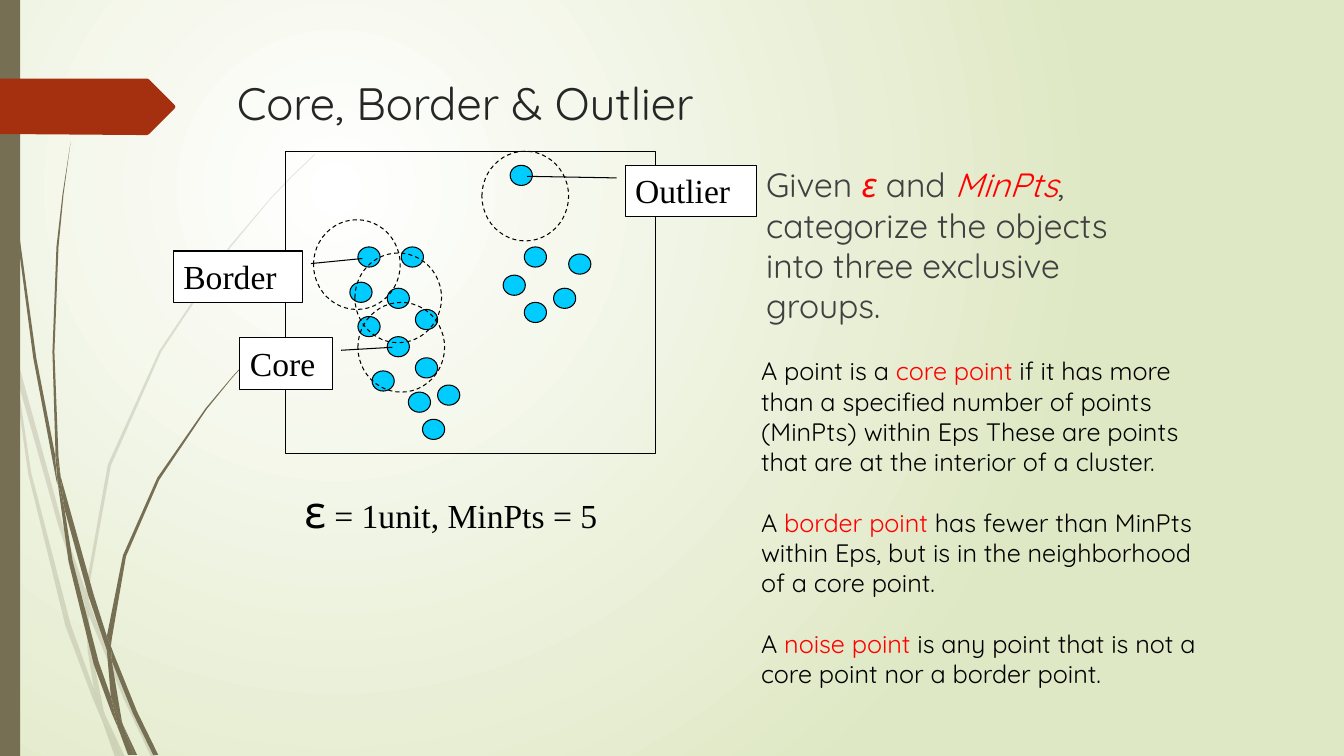
import pptx
import pptx.util
import pptx.dml.color
import pptx.enum.dml
import pptx.enum.shapes
import pptx.enum.text
import pptx.oxml
import pptx.oxml.ns

PX = 9144
COLOURS = {
    "white": "FFFFFF", "sage": "DFE8C4", "stem": "766F54", "banner": "A53010",
    "title": "262626", "body": "404040", "black": "000000", "red": "FF0000", "point": "00CCFF",
}
SHAPE = pptx.enum.shapes.MSO_SHAPE
SANS, SERIF = "Quicksand", "Times New Roman"

PALE_STEMS = [
    [(11, 350), (9, 322), (0, 282), (0, 299), (10, 344)],
    [(58, 522), (84, 599), (85, 586), (62, 520), (14, 345), (17, 376)],
    [(92, 607), (88, 596), (88, 610), (123, 694), (150, 751), (155, 751), (127, 692)],
    [(119, 751), (124, 751), (105, 711)],
    [(93, 683), (70, 619), (31, 469), (17, 376), (11, 350), (28, 470), (65, 621), (92, 693),
     (101, 714), (99, 707)],
    [(84, 599), (87, 646), (93, 683), (96, 692), (105, 711), (103, 706), (91, 646), (88, 610),
     (88, 608)],
    [(88, 584), (110, 462), (160, 349), (229, 245), (268, 198), (290, 175), (312, 154), (312, 153),
     (289, 175), (268, 197), (228, 244), (158, 348), (107, 461), (85, 584), (85, 586), (88, 596)],
    [(101, 714), (114, 751), (119, 751)],
    [(88, 608), (88, 610), (88, 596), (85, 586), (84, 599)],
    [(96, 692), (93, 683), (99, 707), (101, 714), (119, 751), (105, 711)],
]
DARK_STEMS = [
    [(7, 110), (17, 233), (33, 355), (56, 477), (57, 481), (55, 457), (55, 453), (36, 355),
     (19, 232), (8, 109), (5, 48), (4, 0), (3, 0), (4, 48)],
    [(88, 592), (106, 645), (106, 633), (106, 631), (93, 590), (60, 472), (64, 505)],
    [(113, 649), (110, 641), (111, 656), (132, 708), (152, 749), (157, 749), (136, 706)],
    [(110, 691), (98, 657), (72, 556), (64, 505), (57, 477), (68, 557), (93, 659), (111, 708),
     (117, 722), (116, 717)],
    [(60, 472), (58, 453), (54, 349), (58, 245), (63, 193), (70, 141), (62, 193), (56, 245),
     (52, 349), (55, 449)],
    [(133, 749), (136, 749), (122, 719)],
    [(57, 477), (64, 505), (60, 472), (55, 449), (55, 453)],
    [(111, 633), (125, 552), (158, 476), (205, 406), (231, 374), (245, 359), (261, 344), (260, 344),
     (245, 358), (231, 373), (204, 405), (156, 474), (122, 551), (106, 631), (110, 641)],
    [(117, 722), (127, 749), (131, 749)],
    [(106, 645), (110, 691), (116, 706), (122, 719), (121, 716), (111, 656), (109, 651)],
    [(106, 645), (109, 651), (111, 656), (110, 641), (106, 631), (106, 633)],
    [(116, 706), (110, 691), (116, 717), (117, 722), (130, 749), (133, 749), (122, 719)],
]
BANNER = [(0, 78), (146, 78), (148, 79), (173, 104), (174, 106), (173, 108), (148, 133),
          (146, 134), (136, 134), (0, 133)]
POINTS = [
    (355, 245), (347, 280), (384, 286), (398, 245), (412, 307), (355, 314), (384, 334), (369, 368),
    (405, 389), (419, 416), (412, 355), (434, 382), (506, 164), (520, 245), (499, 273), (549, 286),
    (564, 252), (520, 300),
]
NEIGHBOURHOODS = [(311, 218), (355, 300), (478, 150), (352, 251)]
CALLOUTS = [
    ("Core", (238, 335, 92, 51), (0.245, 1.09, 0.187, 1.644)),
    ("Border", (172, 249, 128, 51), (0.245, 1.065, 0.146, 1.464)),
    ("Outlier", (620, 164, 130, 51), (0.245, -0.064, 0.214, -0.747)),
]
DEFINITIONS = [
    ("A point is a ", "core point", " if it has more than a specified number of points (MinPts) "
     "within Eps These are points that are at the interior of a cluster."),
    ("A ", "border point", " has fewer than MinPts within Eps, but is in the neighborhood "
     "of a core point."),
    ("A ", "noise point", " is any point that is not a core point nor a border point."),
]


def rgb(name):
    """Return the named colour."""
    return pptx.dml.color.RGBColor.from_string(COLOURS[name])


def px(*lengths):
    """Turn px lengths into EMU."""
    return [pptx.util.Emu(length * PX) for length in lengths]


def paint_background(page):
    """Fill the page with a radial gradient centred in its upper left."""
    fill = page.background.fill
    fill.gradient()
    for stop, name in zip(fill.gradient_stops, ("white", "sage")):
        stop.color.rgb = rgb(name)
    linear = next(page.element.iter(pptx.oxml.ns.qn("a:lin")))
    radial = pptx.oxml.parse_xml(
        f'<a:path {pptx.oxml.ns.nsdecls("a")} path="circle">'
        '<a:fillToRect l="50000" t="50000" r="100000" b="100000"/></a:path>')
    linear.getparent().replace(linear, radial)


def add_outline(shapes, corners, colour, alpha=None):
    """Draw a filled outline through the corners."""
    builder = shapes.build_freeform(*corners[0], scale=PX)
    builder.add_line_segments(corners[1:], close=True)
    outline = builder.convert_to_shape()
    outline.shadow.inherit = False
    outline.fill.solid()
    outline.fill.fore_color.rgb = rgb(colour)
    outline.line.fill.background()
    if alpha:
        tint = next(outline._element.spPr.iter(pptx.oxml.ns.qn("a:srgbClr")))
        tint.append(pptx.oxml.parse_xml(
            f'<a:alpha {pptx.oxml.ns.nsdecls("a")} val="{alpha * 1000}"/>'))


def add_figure(page, kind, box, fill=None, line="black", dashed=False):
    """Draw a preset shape with an optional fill and a thin line."""
    figure = page.shapes.add_shape(kind, *px(*box))
    figure.shadow.inherit = False
    if fill:
        figure.fill.solid()
        figure.fill.fore_color.rgb = rgb(fill)
    else:
        figure.fill.background()
    if line:
        figure.line.color.rgb = rgb(line)
        figure.line.width = pptx.util.Pt(0.75)
    else:
        figure.line.fill.background()
    if dashed:
        figure.line.dash_style = pptx.enum.dml.MSO_LINE.DASH
    return figure


def add_span(para, text, size, colour, face=SANS, italic=False):
    """Append a formatted run to a paragraph."""
    span = para.add_run()
    span.text = text
    span.font.size = pptx.util.Pt(size)
    span.font.name = face
    span.font.italic = italic
    span.font.color.rgb = rgb(colour)


def add_text(page, box):
    """Add a wrapping text box and return its frame."""
    frame = page.shapes.add_textbox(*px(*box)).text_frame
    frame.word_wrap = True
    return frame


def add_callout(page, label, box, leader):
    """Add a labelled callout with a leader line."""
    callout = add_figure(page, SHAPE.LINE_CALLOUT_1, box, "white")
    for index, value in enumerate(leader):
        callout.adjustments[index] = value
    frame = callout.text_frame
    frame.word_wrap = True
    frame.vertical_anchor = pptx.enum.text.MSO_ANCHOR.TOP
    para = frame.paragraphs[0]
    para.alignment = pptx.enum.text.PP_ALIGN.LEFT
    add_span(para, label, 24, "black", SERIF)


def add_decoration(page):
    """Draw the stems, the side bar and the banner."""
    for stems, alpha in ((PALE_STEMS, 20), (DARK_STEMS, None)):
        cluster = page.shapes.add_group_shape()
        for stem in stems:
            add_outline(cluster.shapes, stem, "stem", alpha)
    add_figure(page, SHAPE.RECTANGLE, (0, 0, 20, 750), "stem", line=None)
    add_outline(page.shapes, BANNER, "banner")


def add_diagram(page):
    """Draw the points, their neighbourhoods and the callouts."""
    for left, top in POINTS:
        add_figure(page, SHAPE.OVAL, (left, top, 22, 20), "point")
    add_figure(page, SHAPE.RECTANGLE, (283, 150, 367, 300))
    for left, top in NEIGHBOURHOODS:
        add_figure(page, SHAPE.OVAL, (left, top, 86, 89), dashed=True)
    for label, box, leader in CALLOUTS:
        add_callout(page, label, box, leader)


def add_wording(page):
    """Write the title, the task, the formula and the definitions."""
    add_span(add_text(page, (225, 70, 829, 69)).paragraphs[0], "Core, Border & Outlier", 32.4, "title")
    task = add_text(page, (750, 158, 400, 175)).paragraphs[0]
    for text, key in (("Given ", False), ("ε", True), (" and ", False), ("MinPts", True),
                      (", categorize the objects into three exclusive groups.", False)):
        add_span(task, text, 24, "red" if key else "body", italic=key)
    formula = add_text(page, (292, 475, 317, 63)).paragraphs[0]
    add_span(formula, "ε", 32, "black")
    add_span(formula, " = 1unit, MinPts = 5", 24, "black", SERIF)
    frame = add_text(page, (745, 348, 467, 343))
    for index, parts in enumerate(DEFINITIONS):
        para = frame.add_paragraph() if index else frame.paragraphs[0]
        if index:
            para.space_before = pptx.util.Pt(21.6)
        for text, colour in zip(parts, ("black", "red", "black")):
            add_span(para, text, 18, colour)


def main():
    """Build the slide and save it."""
    deck = pptx.Presentation()
    deck.slide_width, deck.slide_height = px(1333, 750)
    page = deck.slides.add_slide(deck.slide_layouts[6])
    paint_background(page)
    add_decoration(page)
    add_wording(page)
    add_diagram(page)
    deck.save("out.pptx")


if __name__ == "__main__":
    main()
